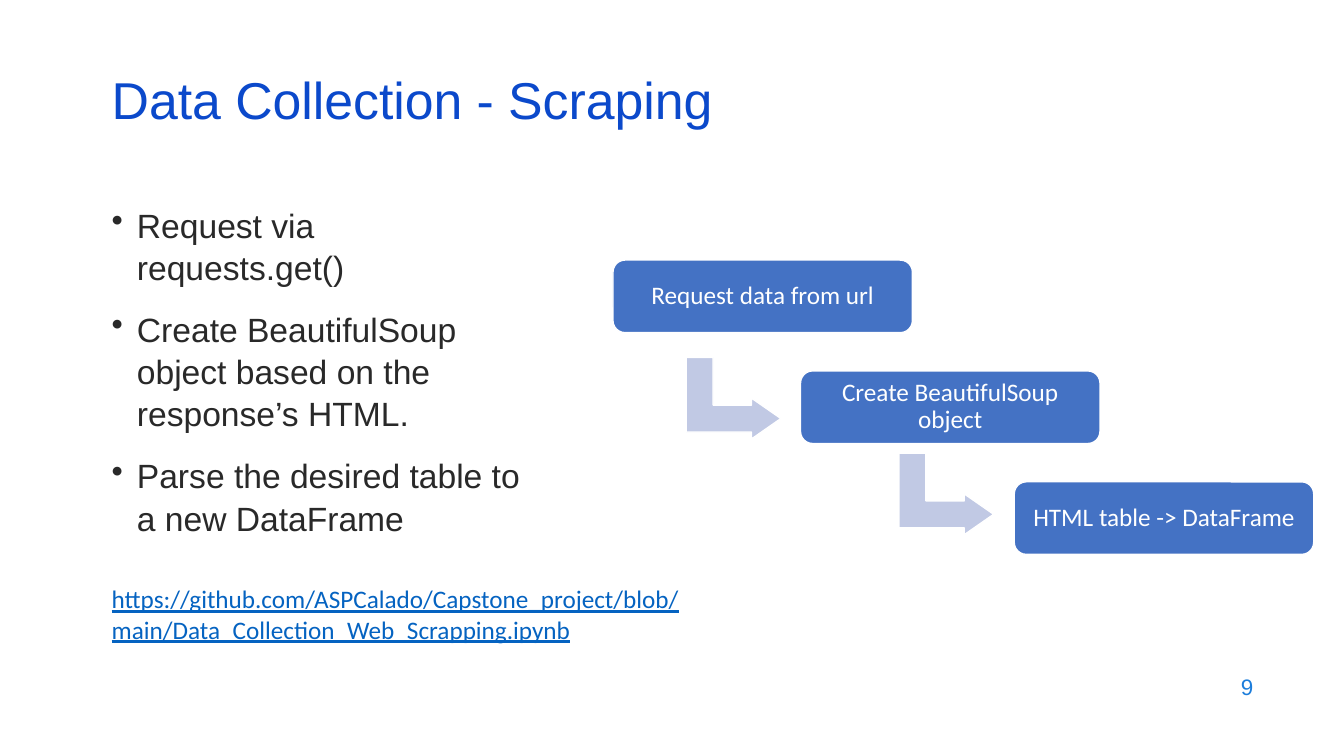
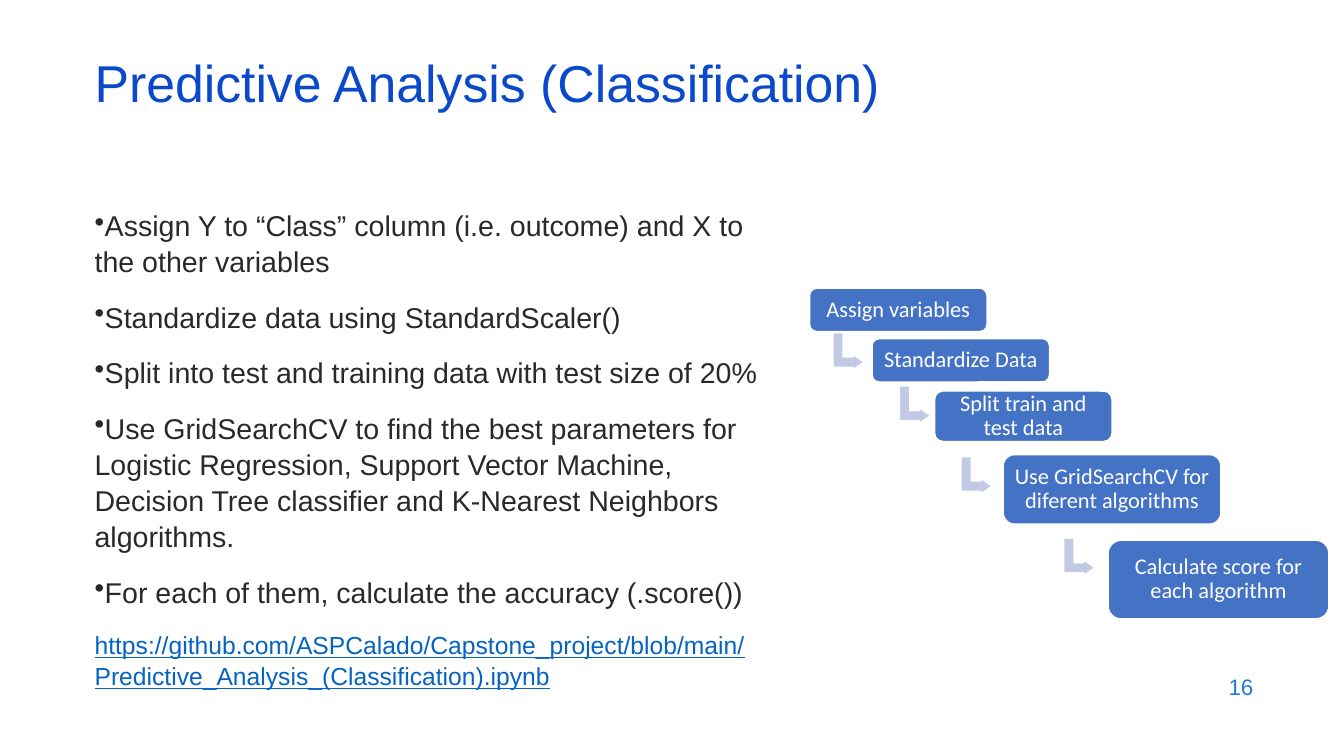
"""Builds two process slides: bullet points beside a descending staircase of steps."""
from lxml import etree
from pptx import Presentation
from pptx import util as u
from pptx.dml import color
from pptx.enum import shapes, text
from pptx.oxml import ns

COLOURS = {
    "title": "0B49CB",
    "body": "292929",
    "link": "0563C1",
    "number": "1C7DDB",
    "step": "4472C4",
    "arrow": "C1C9E4",
    "white": "FFFFFF",
}


class StepDeck:
    def __init__(self):
        self.deck = Presentation()
        self.deck.slide_width = u.Inches(13.33)
        self.deck.slide_height = u.Inches(7.5)
        self.slide = None

    def rgb(self, name):
        return color.RGBColor.from_string(COLOURS[name])

    def style(self, para, size, colour, font="Arial", underline=None):
        para.font.size = u.Pt(size)
        para.font.name = font
        para.font.color.rgb = self.rgb(colour)
        para.font.underline = underline

    def text_box(self, left, top, width, height, anchor=text.MSO_ANCHOR.TOP):
        box = self.slide.shapes.add_textbox(*map(u.Inches, (left, top, width, height)))
        frame = box.text_frame
        frame.word_wrap = True
        frame.vertical_anchor = anchor
        return frame

    def page(self, title, number, left, top):
        self.slide = self.deck.slides.add_slide(self.deck.slide_layouts[6])
        para = self.text_box(left, top, 11.5, 0.6, text.MSO_ANCHOR.MIDDLE).paragraphs[0]
        para.text = title
        para.line_spacing = 0.7
        self.style(para, 37, "title")
        para = self.text_box(9.53, 6.59, 3, 0.44, text.MSO_ANCHOR.MIDDLE).paragraphs[0]
        para.text = str(number)
        para.alignment = text.PP_ALIGN.RIGHT
        self.style(para, 16, "number")

    def bullets(self, frame, points, size, indent):
        for index, point in enumerate(points):
            para = frame.add_paragraph() if index else frame.paragraphs[0]
            para.text = point
            properties = para._p.get_or_add_pPr()
            properties.set("marL", str(u.Inches(indent)))
            properties.set("indent", str(-u.Inches(indent)))
            etree.SubElement(properties, ns.qn("a:buChar")).set("char", "•")
            para.line_spacing = 1.05
            if index:
                para.space_before = u.Pt(14)
            self.style(para, size, "body")

    def link(self, para, address, size, font):
        para.text = address
        self.style(para, size, "link", font, underline=True)

    def shape(self, kind, place, fill):
        shape = self.slide.shapes.add_shape(kind, *map(u.Inches, place))
        shape.shadow.inherit = False
        shape.fill.solid()
        shape.fill.fore_color.rgb = self.rgb(fill)
        shape.line.color.rgb = self.rgb("white")
        shape.line.width = u.Pt(1)
        return shape

    def step(self, label, place, size):
        frame = self.shape(shapes.MSO_SHAPE.ROUNDED_RECTANGLE, place, "step").text_frame
        frame.word_wrap = True
        frame.vertical_anchor = text.MSO_ANCHOR.MIDDLE
        frame.margin_left = frame.margin_right = u.Inches(0.07)
        frame.margin_top = frame.margin_bottom = u.Inches(0.07)
        para = frame.paragraphs[0]
        para.text = label
        para.alignment = text.PP_ALIGN.CENTER
        para.line_spacing = 0.9
        self.style(para, size, "white", "Calibri")

    def arrow(self, place):
        arrow = self.shape(shapes.MSO_SHAPE.BENT_UP_ARROW, place, "arrow")
        arrow.rotation = 90
        for index, value in enumerate((0.33, 0.25, 0.36)):
            arrow.adjustments[index] = value

    def staircase(self, steps, size, arrow_corners, arrow_size):
        for corner in arrow_corners:
            self.arrow(corner + arrow_size)
        for label, *place in steps:
            self.step(label, place, size)


def scraping(deck):
    deck.page("Data Collection - Scraping", 9, 1.01, 0.76)
    deck.bullets(deck.text_box(1.01, 1.96, 4.3, 2.88), [
        "Request via requests.get()",
        "Create BeautifulSoup object based on the response’s HTML.",
        "Parse the desired table to a new DataFrame",
    ], 24, 0.25)
    deck.staircase([
        ("Request data from url", 6.08, 2.58, 2.97, 0.72),
        ("Create BeautifulSoup object", 7.94, 3.68, 2.97, 0.72),
        ("HTML table -> DataFrame", 10.06, 4.78, 2.97, 0.72),
    ], 18, [(6.87, 3.48), (8.98, 4.43)], (0.81, 0.94))
    address = "https://github.com/ASPCalado/Capstone_project/blob/main/Data_Collection_Web_Scrapping.ipynb"
    deck.link(deck.text_box(1.01, 5.74, 6.47, 0.71).paragraphs[0], address, 18, "Calibri")


def prediction(deck):
    deck.page("Predictive Analysis (Classification)", 16, 0.84, 0.59)
    frame = deck.text_box(0.84, 2, 6.87, 4.76)
    deck.bullets(frame, [
        "Assign Y to “Class” column (i.e. outcome) and X to the other variables",
        "Standardize data using StandardScaler()",
        "Split into test and training data with test size of 20%",
        "Use GridSearchCV to find the best parameters for Logistic Regression, "
        "Support Vector Machine, Decision Tree classifier and K-Nearest Neighbors algorithms.",
        "For each of them, calculate the accuracy (.score())",
    ], 20.4, 0)
    para = frame.add_paragraph()
    para.space_before = u.Pt(14)
    para.line_spacing = 1.05
    address = "https://github.com/ASPCalado/Capstone_project/blob/main/Predictive_Analysis_(Classification).ipynb"
    deck.link(para, address, 17.6, "Arial")
    deck.staircase([
        ("Assign variables", 8.03, 2.86, 1.76, 0.43),
        ("Standardize Data", 8.65, 3.36, 1.76, 0.43),
        ("Split train and test data", 9.27, 3.88, 1.76, 0.5),
        ("Use GridSearchCV for diferent algorithms", 9.95, 4.51, 2.16, 0.69),
        ("Calculate score for each algorithm", 10.99, 5.36, 2.19, 0.78),
    ], 16, [(8.23, 3.33), (8.89, 3.86), (9.5, 4.56), (10.52, 5.37)], (0.37, 0.31))


def main():
    deck = StepDeck()
    scraping(deck)
    prediction(deck)
    deck.deck.save("out.pptx")


if __name__ == "__main__":
    main()
